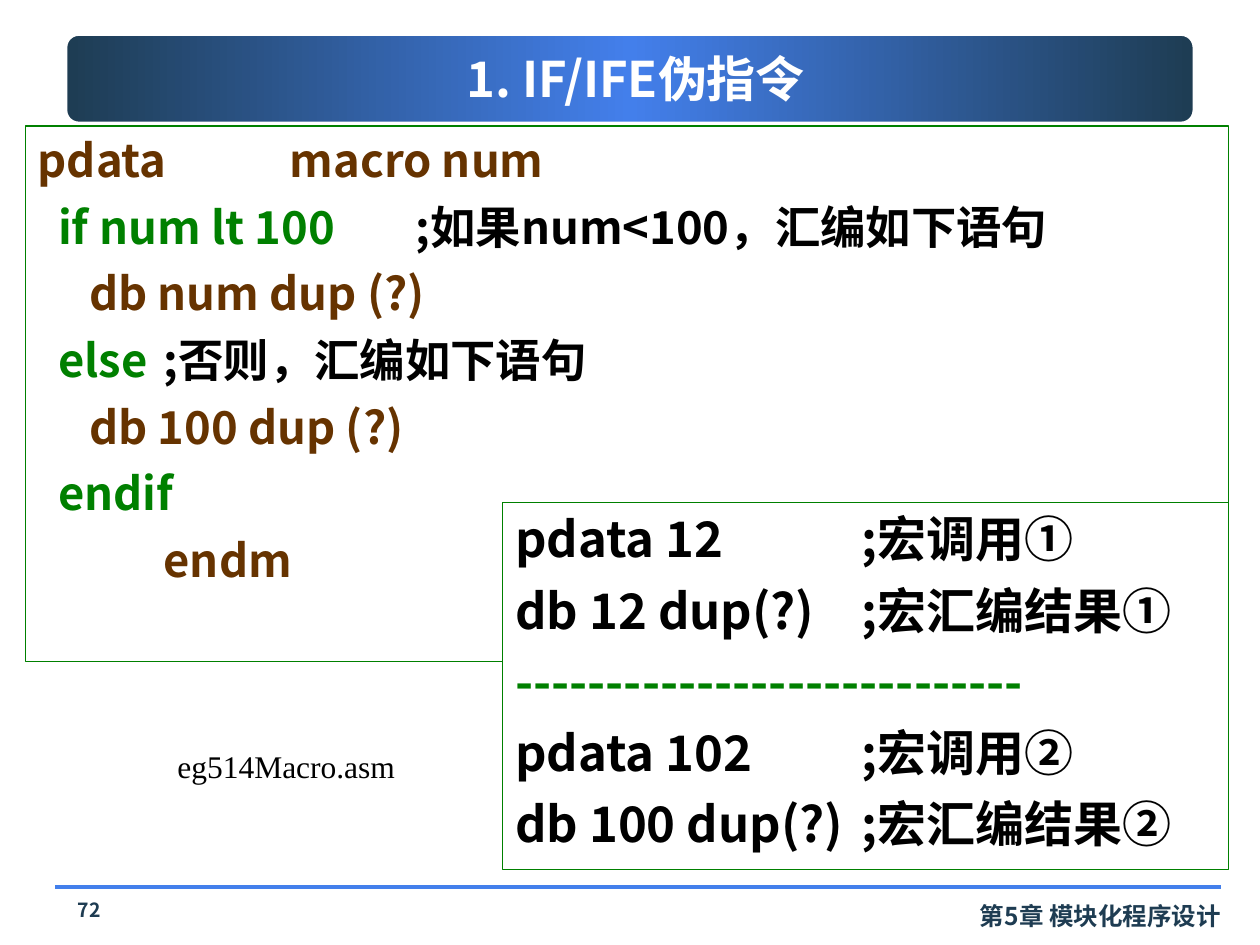
from dataclasses import dataclass

from lxml import etree
from pptx import Presentation
from pptx.dml.color import RGBColor
from pptx.enum import shapes, text
from pptx.oxml import ns
from pptx.util import Inches, Pt

NAVY = RGBColor(0x1E, 0x3C, 0x52)
BLUE = RGBColor(0x43, 0x7F, 0xEB)
GREEN = RGBColor(0x00, 0x80, 0x00)
BROWN = RGBColor(0x66, 0x33, 0x00)
BLACK = RGBColor(0, 0, 0)
WHITE = RGBColor(0xFF, 0xFF, 0xFF)
SANS = "Noto Sans CJK SC"
SERIF = "Times New Roman"

Run = tuple[str, RGBColor]


@dataclass
class Label:
    words: str
    box: tuple[float, float, float, float]
    size: float
    color: RGBColor
    align: text.PP_ALIGN
    font: str = SANS
    bold: bool = True
    anchor: text.MSO_ANCHOR = text.MSO_ANCHOR.TOP
    wrap: bool = True


@dataclass
class Listing:
    box: tuple[float, float, float, float]
    size: float
    tabs: tuple[float, ...]
    lines: list[list[Run]]


def set_font(font, name: str, size: float, bold: bool) -> None:
    font.name, font.size, font.bold = name, Pt(size), bold


def set_east_asian(run, name: str) -> None:
    ea = etree.SubElement(run._r.get_or_add_rPr(), ns.qn("a:ea"))
    ea.set("typeface", name)


def set_tabs(paragraph, stops: tuple[float, ...]) -> None:
    tabs = etree.SubElement(paragraph._p.get_or_add_pPr(), ns.qn("a:tabLst"))
    for stop in stops:
        etree.SubElement(tabs, ns.qn("a:tab"), pos=str(Inches(stop)), algn="l")


def add_label(slide, label: Label) -> None:
    frame = slide.shapes.add_textbox(*map(Inches, label.box)).text_frame
    frame.word_wrap = label.wrap
    frame.vertical_anchor = label.anchor
    paragraph = frame.paragraphs[0]
    paragraph.alignment = label.align
    set_font(paragraph.font, label.font, label.size, label.bold)
    run = paragraph.add_run()
    run.text = label.words
    run.font.color.rgb = label.color
    set_font(run.font, label.font, label.size, label.bold)
    set_east_asian(run, label.font)


def add_listing(slide, listing: Listing) -> None:
    panel = slide.shapes.add_shape(shapes.MSO_SHAPE.RECTANGLE, *map(Inches, listing.box))
    panel.shadow.inherit = False
    panel.fill.solid()
    panel.fill.fore_color.rgb = WHITE
    panel.line.color.rgb = GREEN
    panel.line.width = Pt(0.75)
    frame = panel.text_frame
    frame.word_wrap = True
    frame.vertical_anchor = text.MSO_ANCHOR.TOP
    for i, line in enumerate(listing.lines):
        paragraph = frame.add_paragraph() if i else frame.paragraphs[0]
        paragraph.alignment = text.PP_ALIGN.JUSTIFY
        paragraph.space_before = Pt(7 if i else 0)
        set_tabs(paragraph, listing.tabs)
        set_font(paragraph.font, SANS, listing.size, True)
        for words, color in line:
            run = paragraph.add_run()
            run.text = words
            run.font.color.rgb = color
            set_font(run.font, SANS, listing.size, True)
            set_east_asian(run, SANS)


def add_banner(slide) -> None:
    banner = slide.shapes.add_shape(
        shapes.MSO_SHAPE.ROUNDED_RECTANGLE, Inches(0.5), Inches(0.25), Inches(9), Inches(0.75))
    banner.shadow.inherit = False
    banner.line.color.rgb = WHITE
    banner.line.width = Pt(5)
    banner.fill.gradient()
    banner.fill.gradient_angle = 0
    stops = banner.fill._fill._gradFill.find(ns.qn("a:gsLst"))
    for stop in list(stops):
        stops.remove(stop)
    for percent, color in ((0, NAVY), (50, BLUE), (100, NAVY)):
        stop = etree.SubElement(stops, ns.qn("a:gs"), pos=str(percent * 1000))
        etree.SubElement(stop, ns.qn("a:srgbClr"), val=str(color))


def add_footer_rule(slide) -> None:
    rule = slide.shapes.add_connector(
        shapes.MSO_CONNECTOR.STRAIGHT, Inches(0.44), Inches(7.04), Inches(9.69), Inches(7.04))
    rule.line.color.rgb = BLUE
    rule.line.width = Pt(2)
    etree.SubElement(rule._element.spPr, ns.qn("a:effectLst"))


MACRO = Listing((0.2, 1, 9.55, 4.25), 25.9, tuple(range(1, 9)), [
    [("pdata\tmacro num", BROWN)],
    [("  if num lt 100\t", GREEN), (";如果num<100，汇编如下语句", BLACK)],
    [("     db num dup (?)", BROWN)],
    [("  else\t", GREEN), (";否则，汇编如下语句", BLACK)],
    [("     db 100 dup (?)", BROWN)],
    [("  endif", GREEN)],
    [("\tendm", BROWN)],
])
CALLS = Listing((3.99, 3.99, 5.76, 2.91), 28, (2.75, *range(3, 9)), [
    [("pdata 12\t;宏调用①", BLACK)],
    [("db 12 dup(?)\t;宏汇编结果①", BLACK)],
    [("-" * 28, GREEN)],
    [("pdata 102\t;宏调用②", BLACK)],
    [("db 100 dup(?)\t;宏汇编结果②", BLACK)],
])
LABELS = [
    Label("第5章 模块化程序设计", (7.42, 7.1, 2.37, 0.34), 14, NAVY, text.PP_ALIGN.RIGHT),
    Label("72", (0.42, 7.08, 0.58, 0.33), 11.1, NAVY, text.PP_ALIGN.CENTER),
    Label("1. IF/IFE伪指令", (0.67, 0.28, 8.75, 0.67), 28, WHITE, text.PP_ALIGN.CENTER,
          anchor=text.MSO_ANCHOR.MIDDLE),
    Label("eg514Macro.asm", (1.31, 5.88, 1.93, 0.4), 18, BLACK, text.PP_ALIGN.LEFT,
          font=SERIF, bold=False, wrap=False),
]


def main() -> None:
    deck = Presentation()
    deck.slide_width, deck.slide_height = Inches(10), Inches(7.5)
    slide = deck.slides.add_slide(deck.slide_layouts[6])

    # Banner and footer rule
    add_banner(slide)
    add_footer_rule(slide)

    # Macro definition, with its calls on top
    for listing in (MACRO, CALLS):
        add_listing(slide, listing)

    # Title, file name and footer
    for label in LABELS:
        add_label(slide, label)

    deck.save("out.pptx")


if __name__ == "__main__":
    main()
